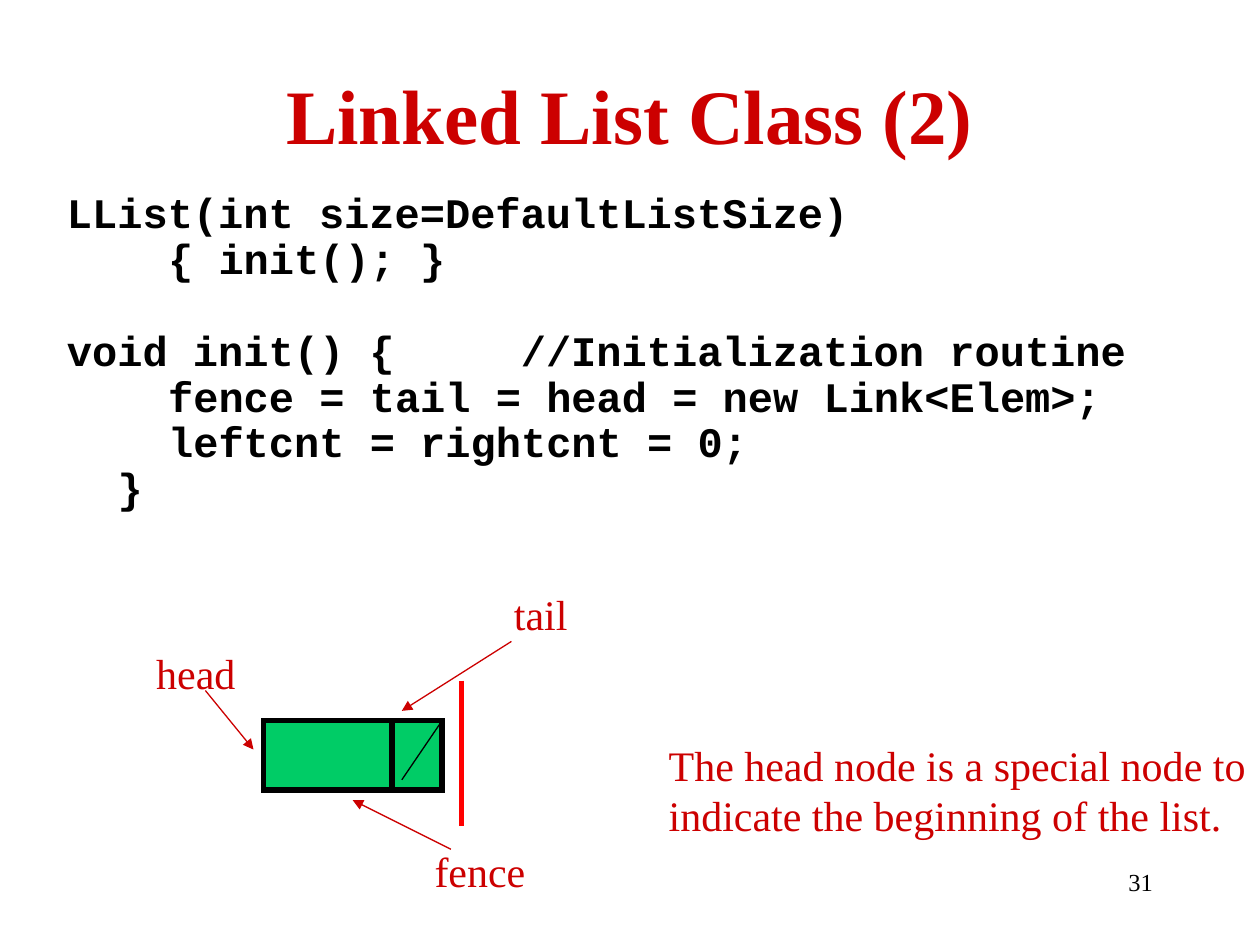
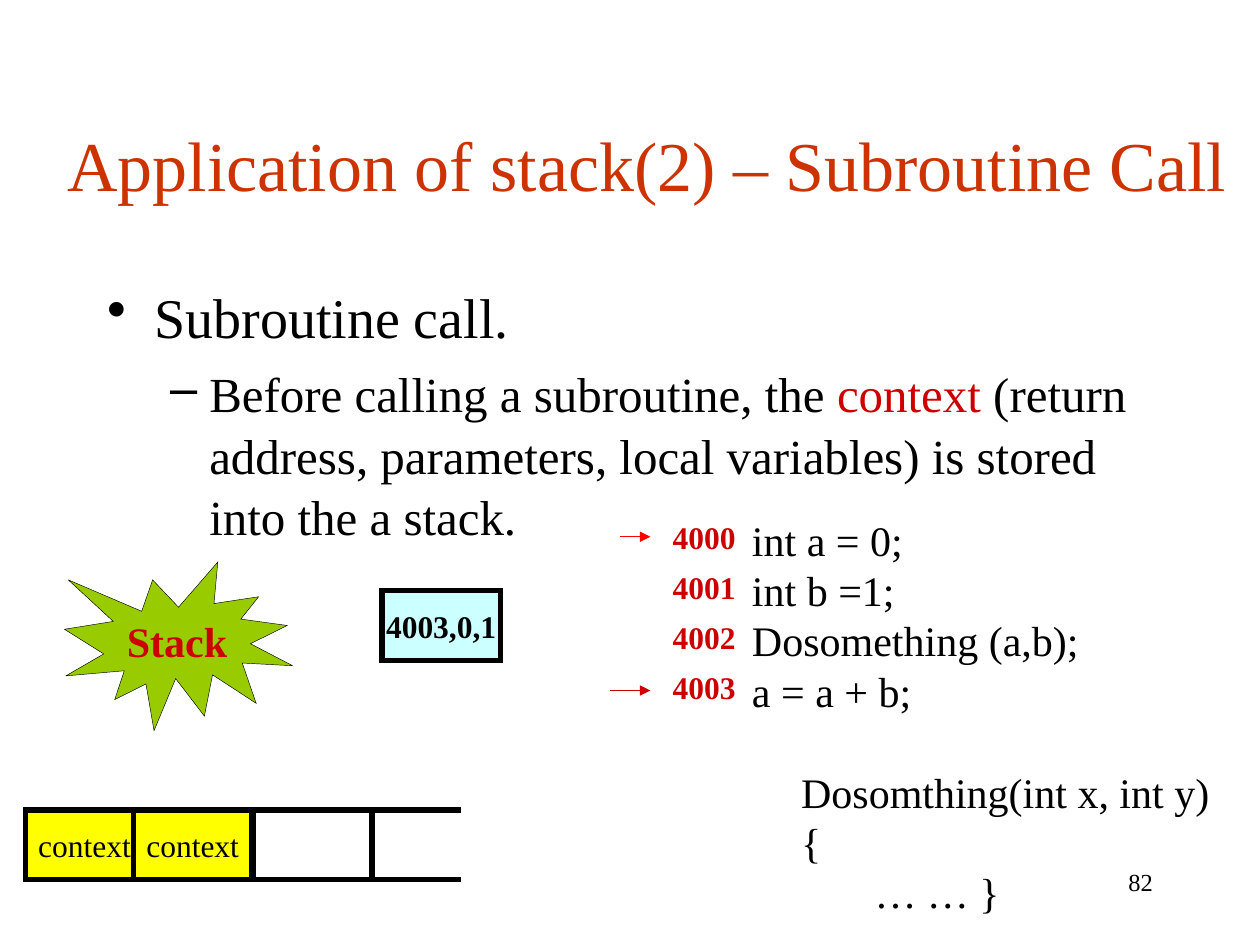
from dataclasses import dataclass
from typing import Optional

from lxml.etree import SubElement
from pptx import Presentation
from pptx.dml.color import RGBColor
from pptx.enum.shapes import MSO_CONNECTOR, MSO_SHAPE
from pptx.enum.text import MSO_ANCHOR, PP_ALIGN
from pptx.oxml.ns import qn
from pptx.util import Cm, Pt

BLACK = RGBColor(0x00, 0x00, 0x00)
CRIMSON = RGBColor(0xCC, 0x00, 0x00)
RUST = RGBColor(0xCC, 0x33, 0x00)
RED = RGBColor(0xFF, 0x00, 0x00)
GREEN = RGBColor(0x00, 0xCC, 0x66)
LIME = RGBColor(0x99, 0xCC, 0x00)
YELLOW = RGBColor(0xFF, 0xFF, 0x00)
PALE_CYAN = RGBColor(0xCC, 0xFF, 0xFF)

SERIF = "Times New Roman"
MONO = "Courier New"
LEADING = 1.2
BULLET_LEADING = 1.04
THICK, THIN, HAIRLINE = 3, 0.75, 0.25
CELL_HEIGHT = 1.4
CELL_WIDTH = 2.39
CODE_CHARACTER = 0.51


@dataclass(frozen=True)
class Box:
    left: float
    top: float
    width: float
    height: float

    def lengths(self) -> tuple:
        return Cm(self.left), Cm(self.top), Cm(self.width), Cm(self.height)


@dataclass(frozen=True)
class Style:
    size: float
    color: RGBColor = BLACK
    bold: bool = False
    font: str = SERIF
    align: PP_ALIGN = PP_ALIGN.LEFT
    spacing: float = LEADING


@dataclass(frozen=True)
class Line:
    runs: tuple
    indent: float = 0
    hanging: float = 0
    before: float = 0
    bullet: str = ""
    size: Optional[float] = None


@dataclass(frozen=True)
class Label:
    box: Box
    lines: tuple
    style: Style
    wrap: bool = False


@dataclass(frozen=True)
class Node:
    box: Box
    fill: Optional[RGBColor]
    text: str = ""
    style: Style = Style(18, align=PP_ALIGN.CENTER)
    kind: MSO_SHAPE = MSO_SHAPE.RECTANGLE
    outline: float = THICK


@dataclass(frozen=True)
class Stroke:
    start: tuple
    end: tuple
    color: RGBColor = BLACK
    width: float = THIN
    arrow: bool = False


NUMBER_STYLE = Style(14, align=PP_ALIGN.RIGHT)
NUMBER_BOX = Box(18.21, 17.35, 5.28, 1.27)
POINTER_STYLE = Style(24, CRIMSON)
PROGRAM_STYLE = Style(24)
ADDRESS_STYLE = Style(18, CRIMSON, bold=True)
CODE_STYLE = Style(24, bold=True, font=MONO, spacing=LEADING * 0.7)


def plain(*texts: str) -> tuple:
    return tuple(Line(((text, None),)) for text in texts)


def code_line(text: str, columns: int = 0, before: float = 6) -> Line:
    return Line(((text, None),), columns * CODE_CHARACTER, before=before)


def write(frame, lines: tuple, style: Style) -> None:
    for index, line in enumerate(lines):
        paragraph = frame.paragraphs[0] if index == 0 else frame.add_paragraph()
        paragraph.alignment = style.align
        paragraph.space_before = Pt(line.before)
        size = line.size or style.size
        paragraph.line_spacing = BULLET_LEADING if line.bullet else Pt(size * style.spacing)
        properties = paragraph._p.get_or_add_pPr()
        properties.set("marL", str(Cm(line.indent)))
        properties.set("indent", str(Cm(-line.hanging)))
        if line.bullet:
            SubElement(properties, qn("a:buChar")).set("char", line.bullet)
        for text, color in line.runs:
            run = paragraph.add_run()
            run.text = text
            run.font.name = style.font
            run.font.size = Pt(size)
            run.font.bold = style.bold
            run.font.color.rgb = color or style.color


def draw_label(slide, label: Label) -> None:
    frame = slide.shapes.add_textbox(*label.box.lengths()).text_frame
    frame.word_wrap = label.wrap
    write(frame, label.lines, label.style)


def draw_node(slide, node: Node) -> None:
    shape = slide.shapes.add_shape(node.kind, *node.box.lengths())
    shape.shadow.inherit = False
    if node.fill is None:
        shape.fill.background()
    else:
        shape.fill.solid()
        shape.fill.fore_color.rgb = node.fill
    shape.line.color.rgb = BLACK
    shape.line.width = Pt(node.outline)
    SubElement(shape.line._get_or_add_ln(), qn("a:miter")).set("lim", "800000")
    if node.text:
        shape.text_frame.word_wrap = False
        shape.text_frame.vertical_anchor = MSO_ANCHOR.MIDDLE
        write(shape.text_frame, plain(node.text), node.style)


def draw_stroke(slide, stroke: Stroke) -> None:
    points = (Cm(value) for value in (*stroke.start, *stroke.end))
    connector = slide.shapes.add_connector(MSO_CONNECTOR.STRAIGHT, *points)
    connector.line.color.rgb = stroke.color
    connector.line.width = Pt(stroke.width)
    if stroke.arrow:
        tail = SubElement(connector.line._get_or_add_ln(), qn("a:tailEnd"))
        tail.set("type", "triangle")
    SubElement(connector._element.spPr, qn("a:effectLst"))


def add_titled_slide(presentation, title: str, box: Box, style: Style, number: int):
    slide = presentation.slides.add_slide(presentation.slide_layouts[5])
    placeholder = slide.shapes.title
    placeholder.left, placeholder.top, placeholder.width, placeholder.height = box.lengths()
    placeholder.text_frame.vertical_anchor = MSO_ANCHOR.MIDDLE
    write(placeholder.text_frame, plain(title), style)
    draw_label(slide, Label(NUMBER_BOX, plain(str(number)), NUMBER_STYLE, True))
    return slide


def draw_all(slide, labels: tuple, nodes: tuple, strokes: tuple) -> None:
    for node in nodes:
        draw_node(slide, node)
    for stroke in strokes:
        draw_stroke(slide, stroke)
    for label in labels:
        draw_label(slide, label)


def build_linked_list(presentation) -> None:
    slide = add_titled_slide(
        presentation, "Linked List Class (2)", Box(1.27, 1.02, 22.86, 2.54),
        Style(44, CRIMSON, bold=True, align=PP_ALIGN.CENTER), 31)
    code = (
        code_line("LList(int size=DefaultListSize)"),
        code_line("{ init(); }", 4),
        code_line("void init() {", before=32.16),
        code_line("fence = tail = head = new Link<Elem>;", 4),
        code_line("leftcnt = rightcnt = 0;", 4),
        code_line("}", 2),
    )
    comment = (code_line("//Initialization routine"),)
    remark = plain("The head node is a special node to",
                   "indicate the beginning of the list.")
    labels = (
        Label(Box(1.1, 3.95, 24.3, 8.41), code, CODE_STYLE, True),
        Label(Box(10.25, 6.72, 15.15, 1.27), comment, CODE_STYLE, True),
        Label(Box(2.9, 12.93, 2.4, 1.27), plain("head"), POINTER_STYLE),
        Label(Box(10.11, 11.73, 2.4, 1.27), plain("tail"), POINTER_STYLE),
        Label(Box(8.51, 16.92, 2.6, 1.27), plain("fence"), POINTER_STYLE),
        Label(Box(13.23, 14.78, 12.14, 2.29), remark, POINTER_STYLE),
    )
    top, bottom = 14.53, 14.53 + CELL_HEIGHT
    nodes = (Node(Box(5.31, top, 3.6, CELL_HEIGHT), GREEN),)
    strokes = (
        Stroke((7.9, top), (7.9, bottom), width=THICK),
        Stroke((8.1, 15.72), (8.91, top)),
        Stroke((9.3, 13.72), (9.3, 16.66), RED, THICK),
        Stroke((4.14, 13.92), (5.11, 15.11), CRIMSON, arrow=True),
        Stroke((10.31, 12.93), (8.1, 14.33), CRIMSON, arrow=True),
        Stroke((9.09, 17.12), (7.11, 16.13), CRIMSON, arrow=True),
    )
    draw_all(slide, labels, nodes, strokes)


def build_subroutine_call(presentation) -> None:
    slide = add_titled_slide(
        presentation, "Application of stack(2) – Subroutine Call",
        Box(0.69, 1.7, 24.71, 3.18), Style(40, RUST, align=PP_ALIGN.CENTER), 82)
    body = (
        Line((("Subroutine call.", None),), 0.95, 0.95, 8, "•"),
        Line((("Before calling a subroutine, the ", None), ("context", CRIMSON),
              (" (return address, parameters, local variables) "
               "is stored into the a stack.", None)), 2.06, 0.79, 7, "–", 28),
    )
    program = plain("int a = 0;", "int b =1;", "Dosomething (a,b);", "a = a + b;")
    subroutine = (*plain("Dosomthing(int x, int y)", "{"),
                  Line((("… … }", None),), indent=1.48))
    addresses = tuple(
        Label(Box(13.31, 10.31 + 1.01 * row, 1.78, 1.02), plain(str(4000 + row)), ADDRESS_STYLE)
        for row in range(4))
    labels = (
        Label(Box(1.91, 5.51, 21.59, 11.43), body, Style(32), True),
        Label(Box(14.91, 10.24, 7.09, 4.32), program, PROGRAM_STYLE),
        Label(Box(15.9, 15.32, 8.74, 3.3), subroutine, PROGRAM_STYLE),
        *addresses,
    )
    top, bottom = 16.33, 16.33 + CELL_HEIGHT
    stack_cells = ((0.51, YELLOW, "context"), (2.69, YELLOW, "context"), (5.11, None, ""))
    nodes = (
        *(Node(Box(left, top, CELL_WIDTH, CELL_HEIGHT), fill, text)
          for left, fill, text in stack_cells),
        Node(Box(7.7, 11.91, CELL_WIDTH, CELL_HEIGHT), PALE_CYAN, "4003,0,1",
             Style(18, bold=True, align=PP_ALIGN.CENTER)),
        Node(Box(1.3, 11.33, 4.6, 3.4), LIME, "Stack",
             Style(24, CRIMSON, bold=True, align=PP_ALIGN.CENTER),
             MSO_SHAPE.EXPLOSION1, HAIRLINE),
    )
    strokes = (
        *(Stroke((7.5, edge), (9.3, edge), width=THICK) for edge in (top, bottom)),
        Stroke((12.5, 10.82), (13.11, 10.82), RED, arrow=True),
        Stroke((12.29, 13.92), (13.11, 13.92), CRIMSON, arrow=True),
    )
    draw_all(slide, labels, nodes, strokes)


def main() -> None:
    presentation = Presentation()
    presentation.slide_width, presentation.slide_height = Cm(25.4), Cm(19.05)
    build_linked_list(presentation)
    build_subroutine_call(presentation)
    presentation.save("out.pptx")


if __name__ == "__main__":
    main()
